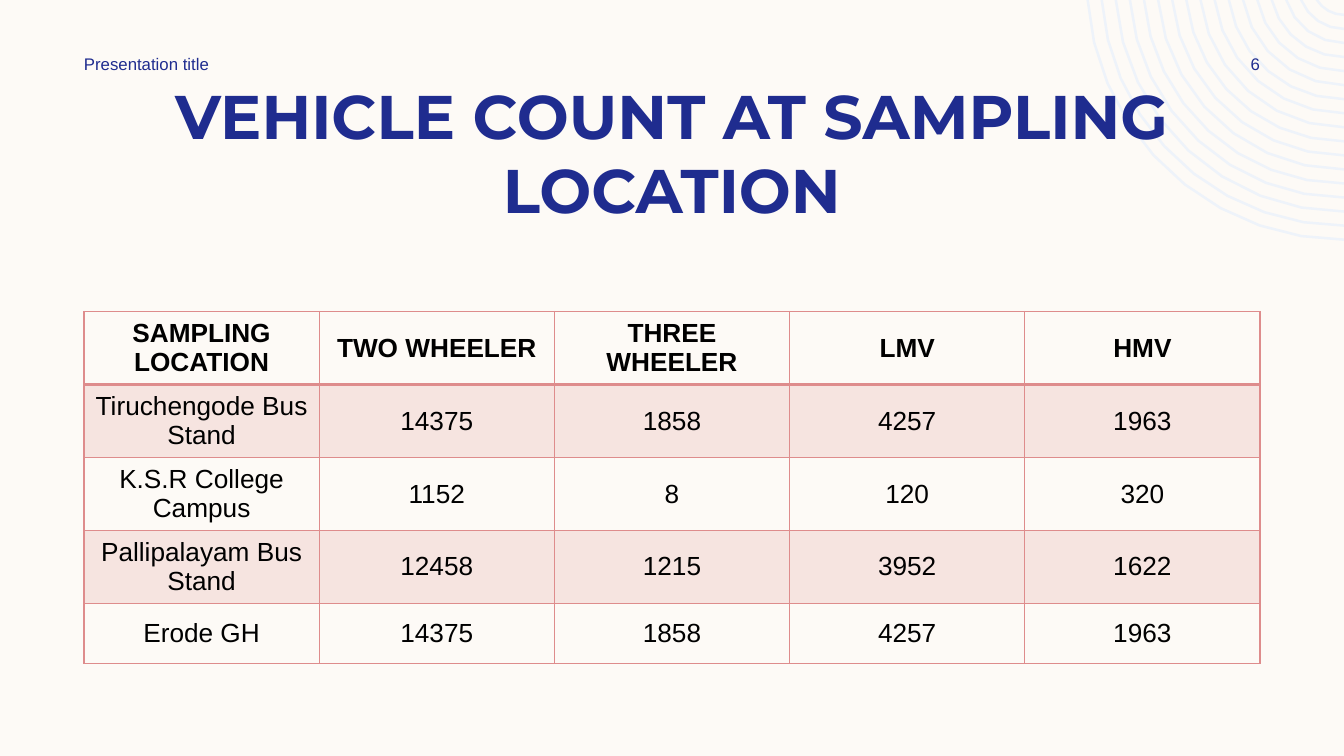
import math
from dataclasses import dataclass

from lxml import etree
from pptx import Presentation, util as u
from pptx.dml.color import RGBColor
from pptx.enum import text
from pptx.oxml.ns import qn


@dataclass(frozen=True)
class Theme:
    paper: str = "FDFAF6"
    ring: str = "EEF3FA"
    navy: str = "1F2C8F"
    ink: str = "000000"
    rose: str = "DE8C8C"
    band_alpha: int = 20
    body_font: str = "Arial"
    title_font: str = "Montserrat"
    title_size: float = 44
    label_size: float = 12
    table_size: float = 18.7
    thin: float = 1
    thick: float = 2


@dataclass(frozen=True)
class TextBlock:
    """Text placed on the grid, in columns and rows."""
    words: str
    column: float
    row: float
    columns: float
    rows: float
    font: dict
    align: text.PP_ALIGN
    anchor: text.MSO_ANCHOR = text.MSO_ANCHOR.MIDDLE
    left_inset: float = 0
    right_inset: float = 0


@dataclass(frozen=True)
class Rings:
    """Concentric rings, measured in grid rows from the top right corner."""
    count: int = 17
    rise: float = 0.34
    smallest: float = 0.66
    largest: float = 5.12
    thickness: float = 0.05
    fewest_steps: int = 4


THEME = Theme()
WIDTH, HEIGHT = u.Inches(13.33), u.Inches(7.5)
COLUMN, ROW = WIDTH / 16, HEIGHT / 15

LABEL_FONT = {"name": THEME.body_font, "size": u.Pt(THEME.label_size), "bold": False}
TITLE_FONT = {"name": THEME.title_font, "size": u.Pt(THEME.title_size), "bold": True}
TABLE_FONT = {"name": THEME.body_font, "size": u.Pt(THEME.table_size)}

TEXT_BLOCKS = [
    TextBlock("VEHICLE COUNT AT SAMPLING LOCATION", 1, 1.6, 14, 2.98, TITLE_FONT,
              text.PP_ALIGN.CENTER, text.MSO_ANCHOR.BOTTOM, 0.1, 0.1),
    TextBlock("Presentation title", 1, 1, 4.2, 0.54, LABEL_FONT, text.PP_ALIGN.LEFT),
    TextBlock("6", 13.7, 1, 1.3, 0.54, LABEL_FONT, text.PP_ALIGN.RIGHT, left_inset=0.1),
]

VEHICLE_COUNTS = [
    ("SAMPLING LOCATION", "TWO WHEELER", "THREE WHEELER", "LMV", "HMV"),
    ("Tiruchengode Bus Stand", "14375", "1858", "4257", "1963"),
    ("K.S.R College Campus", "1152", "8", "120", "320"),
    ("Pallipalayam Bus Stand", "12458", "1215", "3952", "1622"),
    ("Erode GH", "14375", "1858", "4257", "1963"),
]
TABLE_ROW, CELL_COLUMNS = 6.18, 2.8
HEADER_ROWS, BODY_ROWS = 1.42, 1.2


def set_values(target, values: dict) -> None:
    for name, value in values.items():
        setattr(target, name, value)


def write(para, words: str, font: dict, color: str, align: text.PP_ALIGN) -> None:
    para.alignment = align
    span = para.add_run()
    span.text = words
    set_values(span.font, font)
    span.font.color.rgb = RGBColor.from_string(color)


def draw_text(page, block: TextBlock) -> None:
    box = page.shapes.add_textbox(
        round(block.column * COLUMN), round(block.row * ROW),
        round(block.columns * COLUMN), round(block.rows * ROW))
    set_values(box.text_frame, {
        "word_wrap": True,
        "vertical_anchor": block.anchor,
        "margin_left": u.Inches(block.left_inset),
        "margin_right": u.Inches(block.right_inset),
        "margin_top": u.Inches(0.05),
        "margin_bottom": u.Inches(0.05),
    })
    write(box.text_frame.paragraphs[0], block.words, block.font, THEME.navy, block.align)


def arc(radius: float, rise: float, steps: int) -> list[tuple[float, float]]:
    """Points from the top edge of the slide to its right edge."""
    first = math.asin(rise / radius)
    angles = [first + (math.pi / 2 - first) * step / steps for step in range(steps + 1)]
    return [(WIDTH - radius * math.cos(angle) * ROW,
             (radius * math.sin(angle) - rise) * ROW) for angle in angles]


def draw_rings(page, rings: Rings) -> None:
    gap = (rings.largest - rings.smallest) / (rings.count - 1)
    builder = None
    for index in range(rings.count):
        radius = rings.smallest + index * gap
        # Wider rings need more steps to look round
        steps = rings.fewest_steps + index // 3
        inner = arc(radius - rings.thickness, rings.rise, steps)
        outline = arc(radius, rings.rise, steps) + inner[::-1]
        if builder is None:
            builder = page.shapes.build_freeform(*outline[0])
        else:
            builder.move_to(*outline[0])
        builder.add_line_segments(outline[1:], close=True)
    shape = builder.convert_to_shape()
    shape.shadow.inherit = False
    shape.fill.solid()
    shape.fill.fore_color.rgb = RGBColor.from_string(THEME.ring)
    shape.line.fill.background()


def add_color(parent, color: str):
    fill = etree.SubElement(parent, qn("a:solidFill"))
    return etree.SubElement(fill, qn("a:srgbClr"), val=color)


def draw_borders(cell, top: float, bottom: float) -> None:
    widths = {"a:lnL": THEME.thin, "a:lnR": THEME.thin, "a:lnT": top, "a:lnB": bottom}
    properties = cell._tc.get_or_add_tcPr()
    for tag, width in widths.items():
        add_color(etree.SubElement(properties, qn(tag), w=str(u.Pt(width))), THEME.rose)


def draw_table(page, counts: list[tuple[str, ...]]) -> None:
    row_total, column_total = len(counts), len(counts[0])
    heights = [HEADER_ROWS] + [BODY_ROWS] * (row_total - 1)
    table = page.shapes.add_table(
        row_total, column_total, round(COLUMN), round(TABLE_ROW * ROW),
        round(column_total * CELL_COLUMNS * COLUMN), round(sum(heights) * ROW)).table
    table.horz_banding = False
    for column in table.columns:
        column.width = round(CELL_COLUMNS * COLUMN)

    for row_index, (values, height) in enumerate(zip(counts, heights)):
        table.rows[row_index].height = round(height * ROW)
        top = THEME.thick if row_index == 1 else THEME.thin
        bottom = THEME.thick if row_index == 0 else THEME.thin
        for column_index, value in enumerate(values):
            cell = table.cell(row_index, column_index)
            set_values(cell, {
                "vertical_anchor": text.MSO_ANCHOR.MIDDLE,
                "margin_left": u.Inches(0.11), "margin_right": u.Inches(0.11),
                "margin_top": u.Inches(0.05), "margin_bottom": u.Inches(0.05),
            })
            write(cell.text_frame.paragraphs[0], value,
                  {**TABLE_FONT, "bold": row_index == 0}, THEME.ink, text.PP_ALIGN.CENTER)
            # Borders come before the fill in the cell's properties
            draw_borders(cell, top, bottom)
            if row_index % 2:
                shade = add_color(cell._tc.tcPr, THEME.rose)
                etree.SubElement(shade, qn("a:alpha"), val=str(THEME.band_alpha * 1000))
            else:
                etree.SubElement(cell._tc.tcPr, qn("a:noFill"))


def main() -> None:
    deck = Presentation()
    set_values(deck, {"slide_width": WIDTH, "slide_height": HEIGHT})
    page = deck.slides.add_slide(deck.slide_layouts[6])
    page.background.fill.solid()
    page.background.fill.fore_color.rgb = RGBColor.from_string(THEME.paper)

    # Corner decoration
    draw_rings(page, Rings())
    # Title, running head and page number
    for block in TEXT_BLOCKS:
        draw_text(page, block)
    # Vehicle counts
    draw_table(page, VEHICLE_COUNTS)
    deck.save("out.pptx")


if __name__ == "__main__":
    main()
